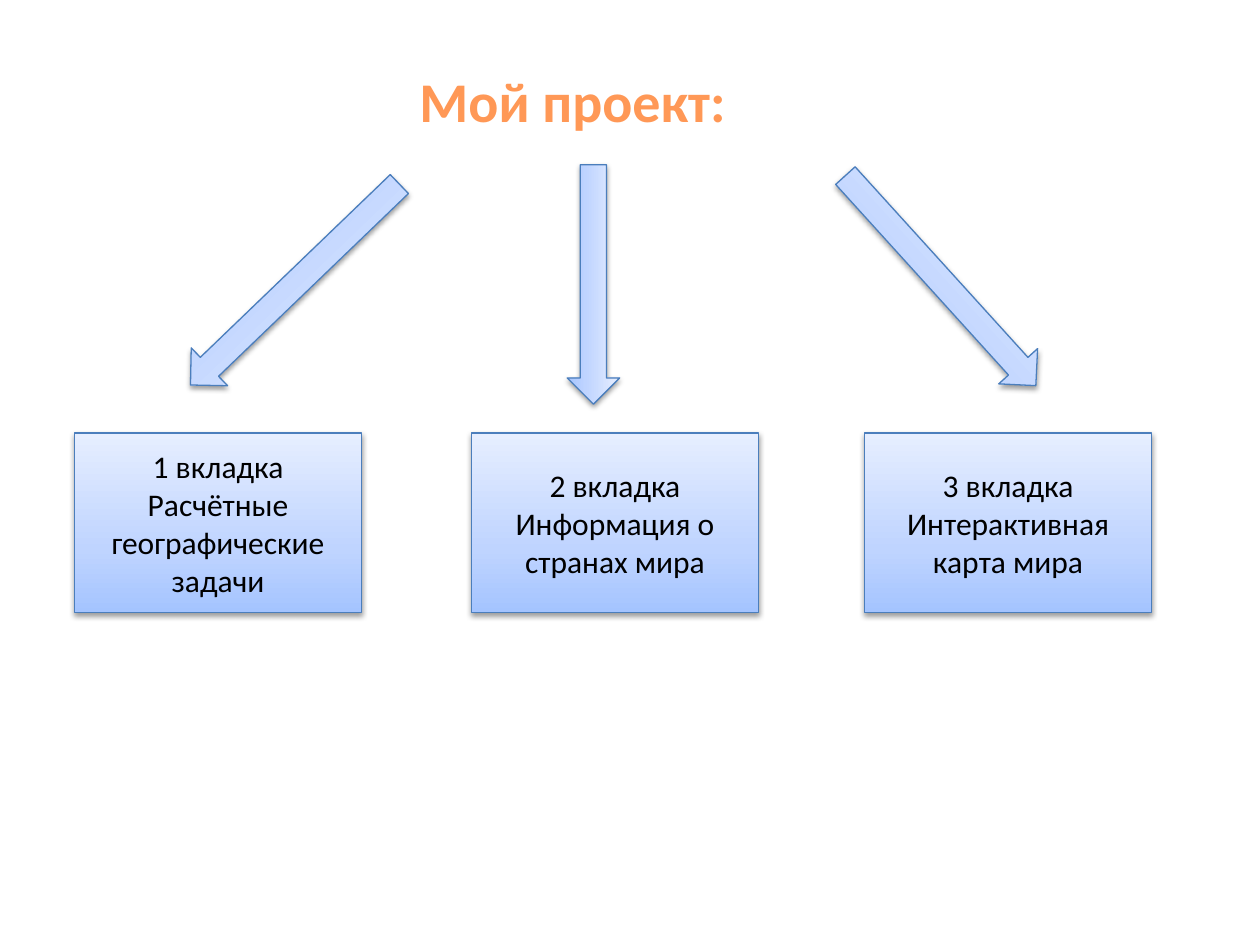
from dataclasses import dataclass

from lxml.etree import SubElement
from pptx import Presentation
from pptx.dml.color import RGBColor
from pptx.enum.shapes import MSO_SHAPE as Shape
from pptx.enum.text import MSO_ANCHOR as Anchor, MSO_AUTO_SIZE as AutoSize, PP_ALIGN as Align
from pptx.oxml.ns import qn
from pptx.util import Pt

FONT = "Calibri"
LINE_COLOR = "4B7EBC"
BLUE_STOPS = ((0, "A4C4FF"), (35, "BFD4FF"), (100, "E6EEFF"))
ORANGE_STOPS = ((0, "9D4700"), (78, "FF9856"), (100, "FFF5F1"))
CARD_TOP, CARD_WIDTH, CARD_HEIGHT = 247.5, 164.3, 102.5
ARROW_HEIGHT = 30


@dataclass
class Card:
    left: float
    heading: str
    topic: str


@dataclass
class Arrow:
    left: float
    top: float
    width: float
    rotation: float


CARDS = (
    Card(42.5, "1 вкладка", "Расчётные географические задачи"),
    Card(269.3, "2 вкладка", "Информация о странах мира"),
    Card(493.9, "3 вкладка", "Интерактивная карта мира"),
)
ARROWS = (
    Arrow(85.7, 147.6, 165.6, 136.1),
    Arrow(270.7, 147.6, 136.8, 90),
    Arrow(456.5, 145.4, 162, 47.8),
)


def color(value: str) -> RGBColor:
    return RGBColor.from_string(value)


def set_gradient(fill, parent, stops, angle: float) -> None:
    """Fill with any number of stops; parent is the XML element holding the fill."""
    fill.gradient()
    fill.gradient_angle = angle
    stop_list = parent.find(qn("a:gradFill")).find(qn("a:gsLst"))
    for old_stop in list(stop_list):
        stop_list.remove(old_stop)
    for percent, value in stops:
        stop = SubElement(stop_list, qn("a:gs"), pos=str(percent * 1000))
        SubElement(stop, qn("a:srgbClr"), val=value)


def add_shadow(shape) -> None:
    shape.shadow.inherit = False
    effects = shape._element.spPr.find(qn("a:effectLst"))
    shadow = SubElement(effects, qn("a:outerShdw"), blurRad=str(Pt(3.1)),
                        dist=str(Pt(1.6)), dir="5400000", rotWithShape="0")
    black = SubElement(shadow, qn("a:srgbClr"), val="000000")
    SubElement(black, qn("a:alpha"), val="38000")


def add_blue_shape(slide, kind, left: float, top: float, width: float, height: float):
    shape = slide.shapes.add_shape(kind, Pt(left), Pt(top), Pt(width), Pt(height))
    set_gradient(shape.fill, shape._element.spPr, BLUE_STOPS, 90)
    shape.line.color.rgb = color(LINE_COLOR)
    shape.line.width = Pt(0.75)
    add_shadow(shape)
    return shape


def add_run(paragraph, text: str, size: float):
    run = paragraph.add_run()
    run.text = text
    run.font.name = FONT
    run.font.size = Pt(size)
    return run


def add_card(slide, card: Card) -> None:
    shape = add_blue_shape(slide, Shape.RECTANGLE, card.left, CARD_TOP, CARD_WIDTH, CARD_HEIGHT)
    frame = shape.text_frame
    frame.word_wrap = True
    frame.vertical_anchor = Anchor.MIDDLE
    for paragraph, text in ((frame.paragraphs[0], card.heading),
                            (frame.add_paragraph(), card.topic)):
        paragraph.alignment = Align.CENTER
        add_run(paragraph, text, 18).font.color.rgb = color("000000")


def add_arrow(slide, arrow: Arrow) -> None:
    shape = add_blue_shape(slide, Shape.RIGHT_ARROW, arrow.left, arrow.top,
                           arrow.width, ARROW_HEIGHT)
    shape.rotation = arrow.rotation


def set_title(slide, text: str) -> None:
    title = slide.shapes.title
    title.left, title.top, title.width, title.height = Pt(232.5), Pt(34.6), Pt(243.4), Pt(46)
    frame = title.text_frame
    frame.word_wrap = False
    frame.auto_size = AutoSize.SHAPE_TO_FIT_TEXT
    frame.vertical_anchor = Anchor.TOP
    paragraph = frame.paragraphs[0]
    paragraph.alignment = Align.LEFT
    run = add_run(paragraph, text, 32)
    run.font.bold = True
    set_gradient(run.font.fill, run._r.rPr, ORANGE_STOPS, 270)


def main() -> None:
    presentation = Presentation()
    presentation.slide_width, presentation.slide_height = Pt(720), Pt(540)
    slide = presentation.slides.add_slide(presentation.slide_layouts[5])
    set_title(slide, "Мой проект:")
    for card in CARDS:
        add_card(slide, card)
    for arrow in ARROWS:
        add_arrow(slide, arrow)
    presentation.save("out.pptx")


if __name__ == "__main__":
    main()
